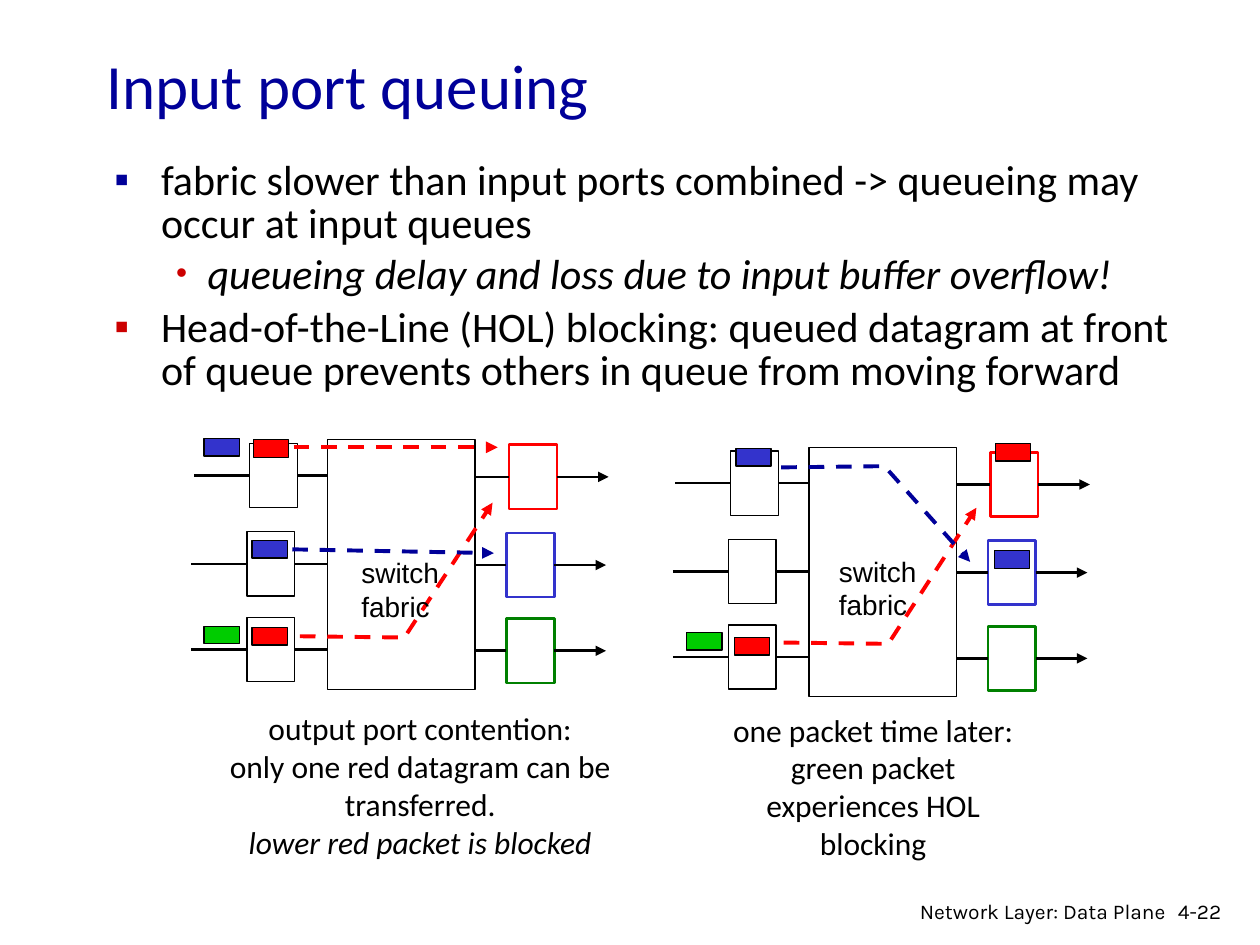
from pptx import Presentation
from pptx import util as u
from pptx.dml.color import RGBColor
from pptx.enum import dml, shapes, text
from pptx.oxml.ns import qn
from lxml import etree

BLACK, WHITE, NAVY = "000000", "FFFFFF", "000099"
RED, BLUE, GREEN, PACKET_GREEN = "FF0000", "3333CC", "008000", "00CC00"


def rgb(value):
    return RGBColor.from_string(value)


def add_run(p, words, size, font="Calibri", color=BLACK, italic=False):
    r = p.add_run()
    r.text = words
    r.font.size, r.font.name, r.font.italic = u.Pt(size), font, italic
    r.font.color.rgb = rgb(color)


def add_text(s, x, y, w, h):
    tb = s.shapes.add_textbox(u.Inches(x), u.Inches(y), u.Inches(w), u.Inches(h))
    tf = tb.text_frame
    tf.word_wrap = True
    return tf


def add_rect(s, x, y, w, h, fill=WHITE, line=BLACK, weight=0.75):
    sp = s.shapes.add_shape(shapes.MSO_SHAPE.RECTANGLE, u.Inches(x), u.Inches(y),
                            u.Inches(w), u.Inches(h))
    sp.shadow.inherit = False
    sp.fill.solid()
    sp.fill.fore_color.rgb = rgb(fill)
    sp.line.color.rgb = rgb(line)
    sp.line.width = u.Pt(weight)
    return sp


def style_line(sp, color, weight, arrow=False, dashed=False):
    sp.line.color.rgb = rgb(color)
    sp.line.width = u.Pt(weight)
    if dashed:
        sp.line.dash_style = dml.MSO_LINE.DASH
    if arrow:
        ln = sp.line._get_or_add_ln()
        etree.SubElement(ln, qn("a:tailEnd"), type="triangle")


def add_line(s, x1, y1, x2, y2, color=BLACK, weight=1.5, arrow=False, dashed=False):
    cn = s.shapes.add_connector(shapes.MSO_CONNECTOR.STRAIGHT, u.Inches(x1),
                                u.Inches(y1), u.Inches(x2), u.Inches(y2))
    style_line(cn, color, weight, arrow, dashed)
    etree.SubElement(cn._element.spPr, qn("a:effectLst"))
    return cn


def add_route(s, x, y, color, points):
    """Dashed path of a datagram through the fabric."""
    points = [(x + px, y + py) for px, py in points]
    if len(points) == 2:
        add_line(s, *points[0], *points[1], color, 2.25, arrow=True, dashed=True)
        return
    points = [(u.Inches(px), u.Inches(py)) for px, py in points]
    fb = s.shapes.build_freeform(*points[0])
    fb.add_line_segments(points[1:], close=False)
    sp = fb.convert_to_shape()
    sp.shadow.inherit = False
    sp.fill.background()
    style_line(sp, color, 2.25, arrow=True, dashed=True)


def add_bullet(p, char, color, left, hanging, size=100):
    pPr = p._p.get_or_add_pPr()
    pPr.set("marL", str(u.Inches(left)))
    pPr.set("indent", str(-u.Inches(hanging)))
    clr = etree.SubElement(pPr, qn("a:buClr"))
    etree.SubElement(clr, qn("a:srgbClr"), val=color)
    etree.SubElement(pPr, qn("a:buSzPct"), val=str(size * 1000))
    etree.SubElement(pPr, qn("a:buFont"), typeface="Arial")
    etree.SubElement(pPr, qn("a:buChar"), char=char)


def title(s, x, y, w, h):
    tf = add_text(s, x, y, w, h)
    add_run(tf.paragraphs[0], "Input port queuing", 36, color=NAVY)


def body(s, x, y, w, h):
    tf = add_text(s, x, y, w, h)
    items = [
        (0, NAVY, "fabric slower than input ports combined -> queueing may occur at input queues"),
        (1, "CC0000", "queueing delay and loss due to input buffer overflow!"),
        (0, "CC0000", "Head-of-the-Line (HOL) blocking: queued datagram at front of queue "
                      "prevents others in queue from moving forward"),
    ]
    for i, (level, color, words) in enumerate(items):
        p = tf.paragraphs[0] if i == 0 else tf.add_paragraph()
        p.level = level
        p.line_spacing = 0.85
        p.space_before = u.Pt(0 if i == 0 else 4.8 if level else 5.6)
        if level:
            add_bullet(p, "•", color, 0.75, 0.25, 75)
        else:
            add_bullet(p, "▪", color, 0.38, 0.37)
        add_run(p, words, 24, italic=level == 1)


def switch(s, x, y, packets, routes, label):
    """Three input ports, the fabric and three output ports."""
    port_w, port_h, fabric_x, fabric_w = 0.38, 0.51, 1.08, 1.17
    add_rect(s, x + fabric_x, y, fabric_w, 1.98)
    rows = [(0.03, 0.02, RED), (0.73, 0, BLUE), (1.41, 0, GREEN)]
    for top, shift, color in rows:
        mid = y + top + port_h / 2
        in_x, out_x = x + 0.44 + shift, x + 2.5 + shift
        in_port = add_rect(s, in_x, y + top, port_w, port_h)
        out_port = add_rect(s, out_x, y + top + 0.01, port_w, port_h, line=color, weight=1.5)
        add_line(s, x + shift, mid, in_x, mid).end_connect(in_port, 1)
        add_line(s, in_x + port_w, mid, x + fabric_x, mid).begin_connect(in_port, 3)
        out_mid = mid + 0.01
        add_line(s, x + fabric_x + fabric_w, out_mid, out_x, out_mid).end_connect(out_port, 1)
        add_line(s, out_x + port_w, out_mid, x + 3.29 + shift, out_mid,
                 arrow=True).begin_connect(out_port, 3)

    # Datagrams and their paths
    for px, py, color in packets:
        add_rect(s, x + px, y + py, 0.28, 0.14, fill=color)
    for color, points in routes:
        add_route(s, x, y, color, points)

    # Fabric label
    tf = add_text(s, x + label[0], y + label[1], 0.95, 0.63)
    add_run(tf.paragraphs[0], "switch", 16, "Arial")
    add_run(tf.add_paragraph(), "fabric", 16, "Arial")


def caption(s, x, y, w, h, lines, closing=None):
    tf = add_text(s, x, y, w, h)
    for i, words in enumerate(lines):
        p = tf.paragraphs[0] if i == 0 else tf.add_paragraph()
        p.alignment = text.PP_ALIGN.CENTER
        add_run(p, words, 18)
    if closing:
        p.add_line_break()
        add_run(p, closing, 18, italic=True)


def footer(s, x, y, w, h):
    tf = add_text(s, x, y, w, h)
    tf.paragraphs[0].alignment = text.PP_ALIGN.RIGHT
    add_run(tf.paragraphs[0], "Network Layer: Data Plane", 12, "Karla")
    tf = add_text(s, x + 2.28, y, 0.61, h)
    add_run(tf.paragraphs[0], "4-22", 12, "Karla")


def main():
    prs = Presentation()
    prs.slide_width, prs.slide_height = u.Inches(10), u.Inches(7.5)
    s = prs.slides.add_slide(prs.slide_layouts[6])
    title(s, 0.75, 0.32, 8.5, 0.5)
    body(s, 0.8, 1.23, 8.86, 2.9)

    # Contention at the red output port
    switch(s, 1.52, 3.49,
           [(0.49, 0, RED), (0.48, 0.8, BLUE), (0.48, 1.49, RED),
            (0.1, -0.01, BLUE), (0.1, 1.48, PACKET_GREEN)],
           [(RED, [(0.81, 0.06), (2.43, 0.06)]),
            (RED, [(0.86, 1.56), (1.69, 1.57), (2.39, 0.5)]),
            (NAVY, [(0.8, 0.87), (2.4, 0.9)])],
           (1.25, 0.87))
    caption(s, 1.48, 5.58, 3.71, 1.3,
            ["output port contention:", "only one red datagram can be transferred."],
            "lower red packet is blocked")

    # One packet time later
    switch(s, 5.34, 3.55,
           [(2.56, -0.03, RED), (0.5, 0.01, BLUE), (0.49, 1.51, RED),
            (0.11, 1.47, PACKET_GREEN), (2.55, 0.82, BLUE)],
           [(RED, [(0.88, 1.55), (1.71, 1.56), (2.41, 0.48)]),
            (NAVY, [(0.86, 0.16), (1.68, 0.15), (2.36, 0.91)])],
           (1.22, 0.8))
    caption(s, 5.71, 5.59, 2.44, 1.3,
            ["one packet time later: green packet experiences HOL blocking"])

    footer(s, 6.97, 7.08, 2.38, 0.3)
    prs.save("out.pptx")


if __name__ == "__main__":
    main()
